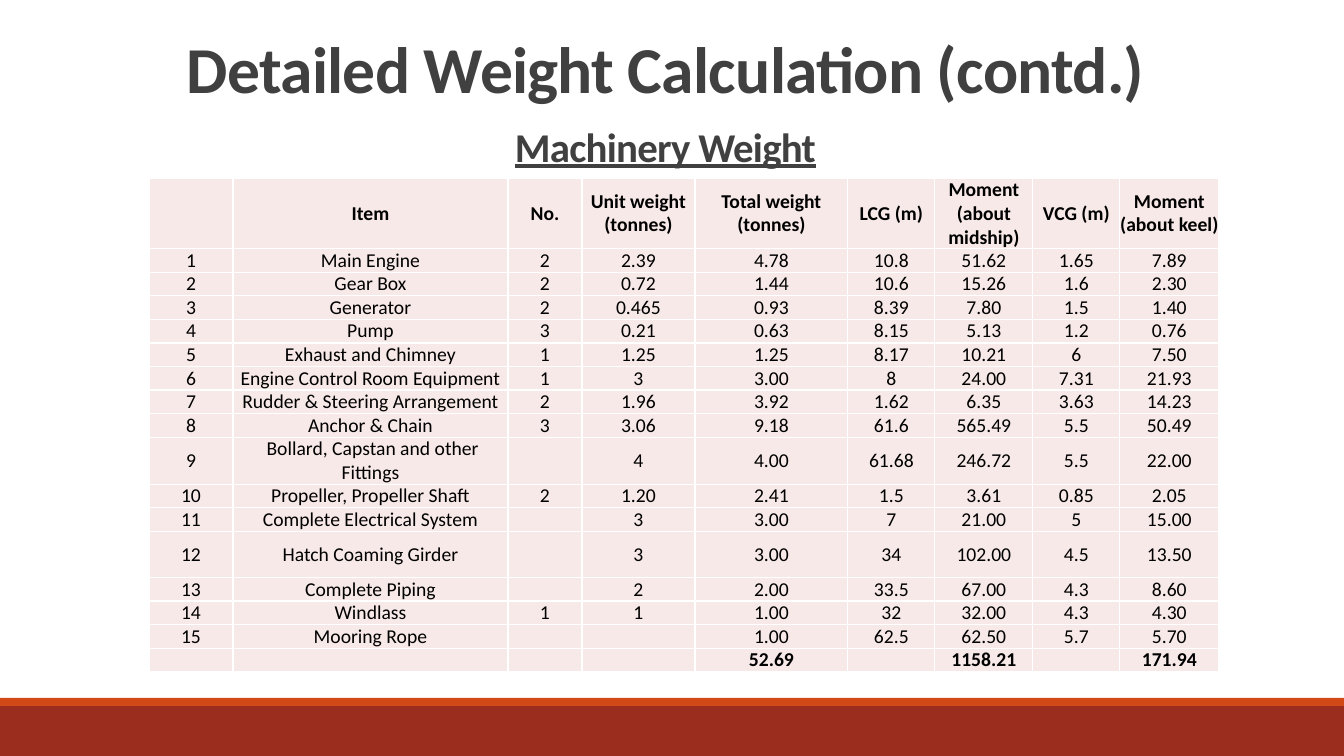
import pptx
import pptx.dml.color
import pptx.enum.shapes
import pptx.enum.text
import pptx.oxml
import pptx.oxml.ns
import pptx.util

# Content
TITLE = "Detailed Weight Calculation (contd.)"
SUBTITLE = "Machinery Weight"
HEADER = ("", "Item", "No.", "Unit weight (tonnes)", "Total weight (tonnes)", "LCG (m)",
          "Moment (about midship)", "VCG (m)", "Moment (about keel)")
ITEMS = [
    ("Main Engine", "2", "2.39", "4.78", "10.8", "51.62", "1.65", "7.89"),
    ("Gear Box", "2", "0.72", "1.44", "10.6", "15.26", "1.6", "2.30"),
    ("Generator", "2", "0.465", "0.93", "8.39", "7.80", "1.5", "1.40"),
    ("Pump", "3", "0.21", "0.63", "8.15", "5.13", "1.2", "0.76"),
    ("Exhaust and Chimney", "1", "1.25", "1.25", "8.17", "10.21", "6", "7.50"),
    ("Engine Control Room Equipment", "1", "3", "3.00", "8", "24.00", "7.31", "21.93"),
    ("Rudder & Steering Arrangement", "2", "1.96", "3.92", "1.62", "6.35", "3.63", "14.23"),
    ("Anchor & Chain", "3", "3.06", "9.18", "61.6", "565.49", "5.5", "50.49"),
    (" Bollard, Capstan and other Fittings", "", "4", "4.00", "61.68", "246.72", "5.5", "22.00"),
    ("Propeller, Propeller Shaft", "2", "1.20", "2.41", "1.5", "3.61", "0.85", "2.05"),
    ("Complete Electrical System", "", "3", "3.00", "7", "21.00", "5", "15.00"),
    ("Hatch Coaming Girder", "", "3", "3.00", "34", "102.00", "4.5", "13.50"),
    ("Complete Piping", "", "2", "2.00", "33.5", "67.00", "4.3", "8.60"),
    ("Windlass", "1", "1", "1.00", "32", "32.00", "4.3", "4.30"),
    ("Mooring Rope", "", "", "1.00", "62.5", "62.50", "5.7", "5.70"),
]
TOTALS = ("", "", "", "", "52.69", "", "1158.21", "", "171.94")
ROWS = [HEADER, *((str(n), *item) for n, item in enumerate(ITEMS, 1)), TOTALS]

# Layout in px
COLUMN_WIDTHS = (84, 275, 74, 113, 153, 87, 98, 87, 99)
ROW_HEIGHT = 20
TALL_ROWS = {0: 62, 9: 40, 12: 46, 13: 22}
FONT = "Calibri"
CELL_SIZE = 14


def px(length):
    return pptx.util.Emu(round(length * 914400 / 100.8))


def color(hex_string):
    return pptx.dml.color.RGBColor.from_string(hex_string)


def style(paragraph, size, hex_color, bold):
    paragraph.alignment = pptx.enum.text.PP_ALIGN.CENTER
    font = paragraph.font
    font.name, font.size, font.bold = FONT, pptx.util.Pt(size), bold
    font.color.rgb = color(hex_color)


def add_bar(slide, top, height, fill):
    shape = slide.shapes.add_shape(pptx.enum.shapes.MSO_SHAPE.RECTANGLE,
                                   0, px(top), px(1344), px(height))
    shape.shadow.inherit = False
    shape.fill.solid()
    shape.fill.fore_color.rgb = color(fill)
    shape.line.fill.background()


def add_heading(slide, text, top, size, underline=False):
    box = slide.shapes.add_textbox(px(111), px(top), px(1109), px(160))
    box.text_frame.word_wrap = True
    paragraph = box.text_frame.paragraphs[0]
    run = paragraph.add_run()
    run.text = text
    style(paragraph, size, "404040", True)
    paragraph.line_spacing = 0.85
    paragraph.font.underline = underline
    run.font._element.set("spc", "-50")


def add_borders(cell):
    properties = cell._tc.get_or_add_tcPr()
    for index, side in enumerate(("lnL", "lnR", "lnT", "lnB")):
        properties.insert(index, pptx.oxml.parse_xml(
            f'<a:{side} {pptx.oxml.ns.nsdecls("a")} w="12700"><a:solidFill>'
            f'<a:srgbClr val="FFFFFF"/></a:solidFill></a:{side}>'))


def fill_cell(cell, text, bold):
    cell.margin_left = cell.margin_right = cell.margin_top = cell.margin_bottom = 0
    cell.vertical_anchor = pptx.enum.text.MSO_ANCHOR.MIDDLE
    cell.fill.solid()
    cell.fill.fore_color.rgb = color("F7E9E8")
    add_borders(cell)
    paragraph = cell.text_frame.paragraphs[0]
    if text:
        paragraph.text = text
    else:  # an empty cell takes its line height from the end mark
        paragraph._p.append(pptx.oxml.parse_xml(
            f'<a:endParaRPr {pptx.oxml.ns.nsdecls("a")} sz="{CELL_SIZE * 100}"/>'))
    style(paragraph, CELL_SIZE, "000000", bold)


def add_weight_table(slide):
    heights = [TALL_ROWS.get(index, ROW_HEIGHT) for index in range(len(ROWS))]
    table = slide.shapes.add_table(len(ROWS), len(HEADER), px(149), px(178),
                                   px(sum(COLUMN_WIDTHS)), px(sum(heights))).table
    table.first_row = table.horz_banding = False
    for column, width in zip(table.columns, COLUMN_WIDTHS):
        column.width = px(width)
    for row, height, texts in zip(table.rows, heights, ROWS):
        row.height = px(height)
        for cell, text in zip(row.cells, texts):
            fill_cell(cell, text, texts in (HEADER, TOTALS))


def main():
    presentation = pptx.Presentation()
    presentation.slide_width, presentation.slide_height = px(1344), px(756)
    slide = presentation.slides.add_slide(presentation.slide_layouts[6])

    # Footer bars
    add_bar(slide, 706, 50, "9B2D1F")
    add_bar(slide, 698, 8, "D34817")

    # Headings and table
    add_heading(slide, TITLE, 35, 46.8)
    add_weight_table(slide)
    add_heading(slide, SUBTITLE, 124, 29.2, underline=True)

    presentation.save("out.pptx")


if __name__ == "__main__":
    main()
